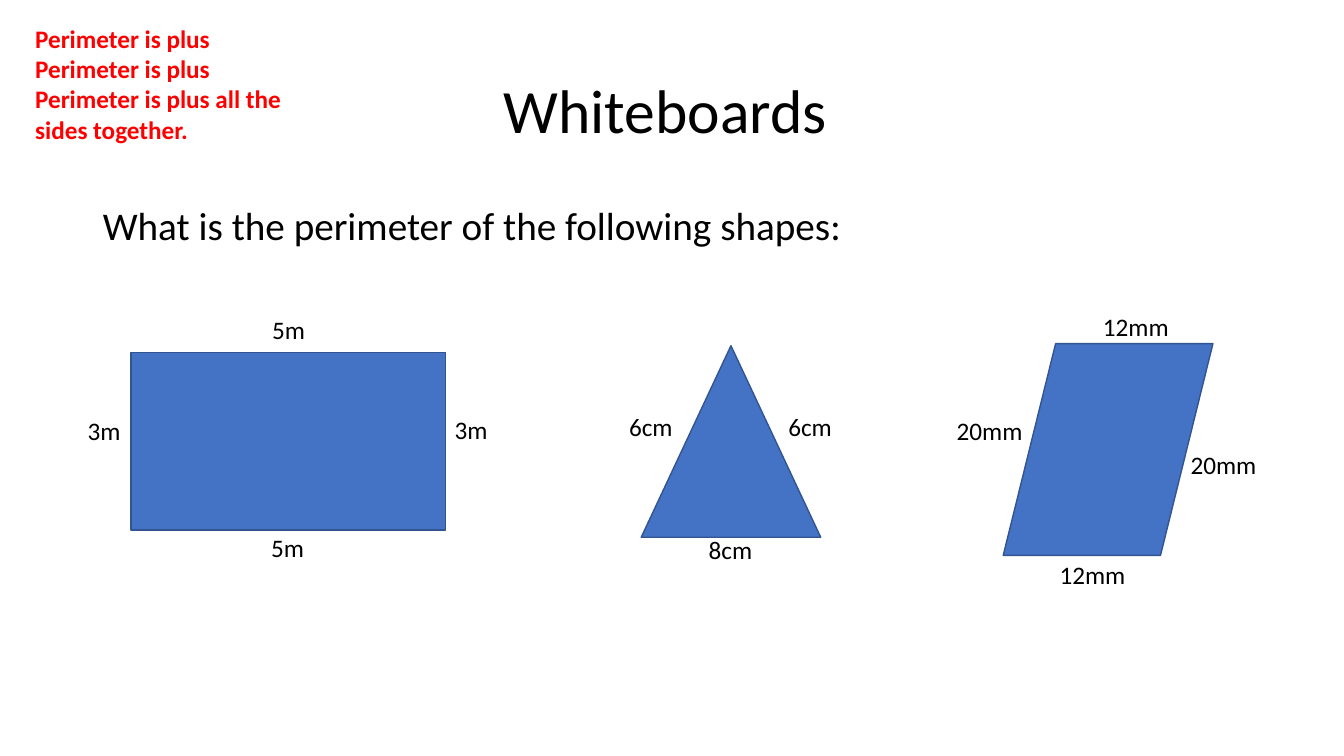
"""Build the whiteboard slide on the perimeters of three shapes."""
from dataclasses import dataclass

from lxml import etree
from pptx import Presentation
from pptx.dml.color import RGBColor
from pptx.enum import shapes, text
from pptx.oxml.ns import qn
from pptx.util import Inches, Pt


@dataclass(frozen=True)
class Theme:
    font: str = "Calibri"
    ink: str = "000000"
    rule: str = "FF0000"
    fill: str = "4472C4"
    line: str = "325491"
    title: int = 44
    question: int = 28
    label: int = 18


@dataclass(frozen=True)
class Box:
    left: float
    top: float
    width: float
    height: float


@dataclass(frozen=True)
class Label:
    text: str
    left: float
    top: float


@dataclass(frozen=True)
class Figure:
    preset: shapes.MSO_SHAPE
    box: Box
    label_width: float
    label_wrap: bool
    labels: tuple[Label, ...]


THEME = Theme()
LABEL_HEIGHT = 0.4
RULE = ("Perimeter is plus", "Perimeter is plus",
        "Perimeter is plus all the sides together.")
FIGURES = (
    Figure(shapes.MSO_SHAPE.RECTANGLE, Box(1.3, 3.5, 3.12, 1.76), 0.53, False,
           (Label("5m", 2.59, 5.23), Label("3m", 0.77, 4.07),
            Label("5m", 2.6, 3.07), Label("3m", 4.41, 4.06))),
    Figure(shapes.MSO_SHAPE.ISOSCELES_TRIANGLE, Box(6.36, 3.43, 1.78, 1.9), 0.79, True,
           (Label("8cm", 6.93, 5.25), Label("6cm", 6.14, 4.03),
            Label("6cm", 7.72, 4.03))),
    Figure(shapes.MSO_SHAPE.PARALLELOGRAM, Box(9.95, 3.41, 2.08, 2.1), 0.92, True,
           (Label("12mm", 10.41, 5.5), Label("12mm", 10.84, 3.04),
            Label("20mm", 11.71, 4.41), Label("20mm", 9.39, 4.07))),
)


def lengths(box: Box) -> tuple:
    return tuple(Inches(v) for v in (box.left, box.top, box.width, box.height))


def write(tf, lines: tuple[str, ...], size: int, color: str, bold: bool = False,
          frame: dict | None = None, para: dict | None = None) -> None:
    for name, value in (frame or {}).items():
        setattr(tf, name, value)
    for i, line in enumerate(lines):
        p = tf.add_paragraph() if i else tf.paragraphs[0]
        for name, value in (para or {}).items():
            setattr(p, name, value)
        r = p.add_run()
        r.text = line
        for name, value in {"name": THEME.font, "size": Pt(size), "bold": bold}.items():
            setattr(r.font, name, value)
        r.font.color.rgb = RGBColor.from_string(color)


def place(sp, box: Box) -> None:
    for name, value in zip(("left", "top", "width", "height"), lengths(box)):
        setattr(sp, name, value)


def add_text(s, box: Box, lines: tuple[str, ...], color: str,
             bold: bool = False, wrap: bool = True) -> None:
    tf = s.shapes.add_textbox(*lengths(box)).text_frame
    write(tf, lines, THEME.label, color, bold,
          {"word_wrap": wrap, "auto_size": text.MSO_AUTO_SIZE.SHAPE_TO_FIT_TEXT})


def add_figure(s, figure: Figure) -> None:
    sp = s.shapes.add_shape(figure.preset, *lengths(figure.box))
    sp.shadow.inherit = False
    sp.fill.solid()
    sp.fill.fore_color.rgb = RGBColor.from_string(THEME.fill)
    sp.line.color.rgb = RGBColor.from_string(THEME.line)
    sp.line.width = Pt(1)
    for label in figure.labels:
        box = Box(label.left, label.top, figure.label_width, LABEL_HEIGHT)
        add_text(s, box, (label.text,), THEME.ink, wrap=figure.label_wrap)


def fill_placeholders(s) -> None:
    title, body = s.shapes.title, s.placeholders[1]
    place(title, Box(0.92, 0.4, 11.5, 1.45))
    place(body, Box(0.92, 2, 11.5, 4.76))
    fixed = {"word_wrap": True, "auto_size": text.MSO_AUTO_SIZE.NONE}
    write(title.text_frame, ("Whiteboards ",), THEME.title, THEME.ink,
          frame=fixed | {"vertical_anchor": text.MSO_ANCHOR.MIDDLE},
          para={"alignment": text.PP_ALIGN.CENTER, "line_spacing": 0.9})
    pPr = body.text_frame.paragraphs[0]._p.get_or_add_pPr()
    pPr.set("marL", "0")
    pPr.set("indent", "0")
    etree.SubElement(pPr, qn("a:buNone"))
    write(body.text_frame, ("What is the perimeter of the following shapes:",),
          THEME.question, THEME.ink,
          frame=fixed | {"vertical_anchor": text.MSO_ANCHOR.TOP},
          para={"line_spacing": 0.9, "space_before": Pt(0)})


def main() -> None:
    prs = Presentation()
    prs.slide_width, prs.slide_height = Inches(13.33), Inches(7.5)
    s = prs.slides.add_slide(prs.slide_layouts[1])
    fill_placeholders(s)
    for figure in FIGURES:
        add_figure(s, figure)
    add_text(s, Box(0.25, 0.18, 2.72, 1.31), RULE, THEME.rule, bold=True)
    prs.save("out.pptx")


if __name__ == "__main__":
    main()
